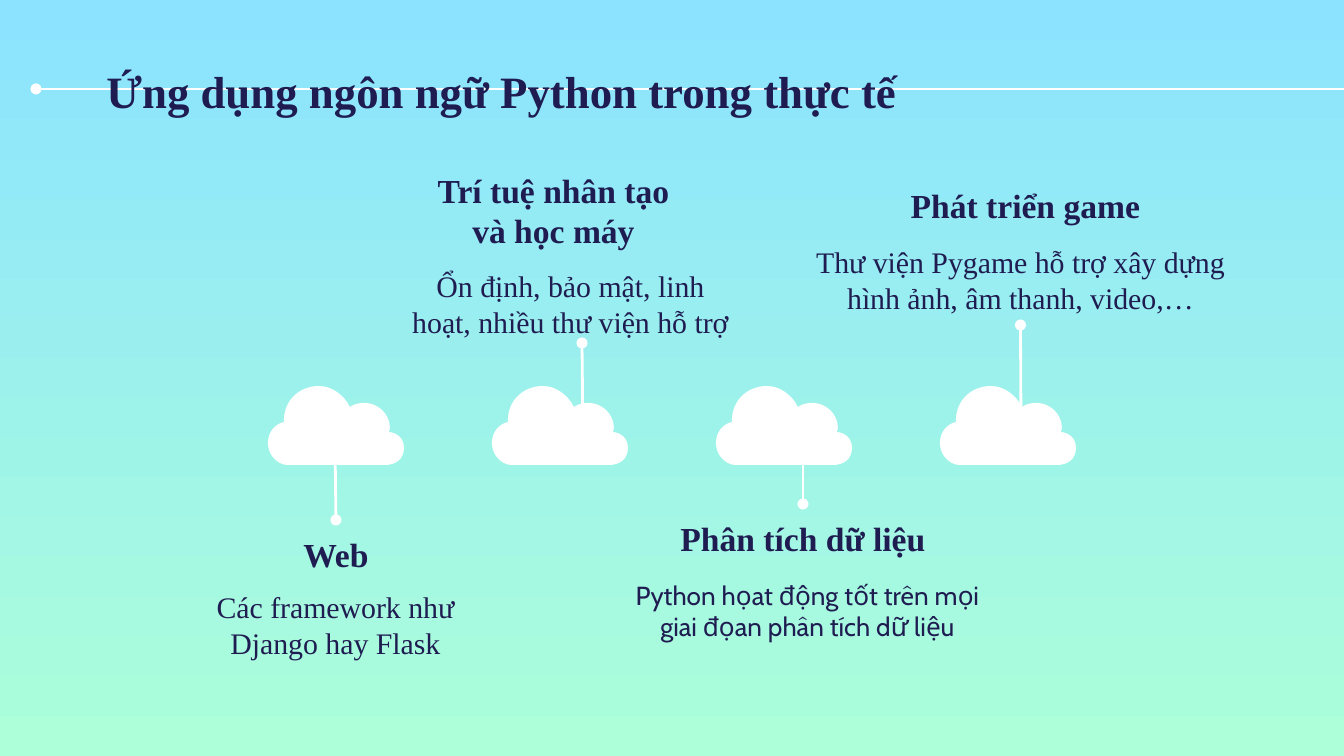
from dataclasses import dataclass

from lxml import etree
from pptx import Presentation
from pptx.dml.color import RGBColor
from pptx.enum.shapes import MSO_CONNECTOR
from pptx.enum.text import MSO_ANCHOR, MSO_AUTO_SIZE, PP_ALIGN
from pptx.oxml.ns import qn
from pptx.util import Emu, Pt

LEFT, CENTER = PP_ALIGN.LEFT, PP_ALIGN.CENTER
TOP = MSO_ANCHOR.TOP
FIXED = MSO_AUTO_SIZE.NONE
STRAIGHT = MSO_CONNECTOR.STRAIGHT
SCALE = 914400 / 134.4
COMPARE = 4


@dataclass(frozen=True)
class Theme:
    sky: RGBColor = RGBColor(0x8B, 0xE3, 0xFF)
    mint: RGBColor = RGBColor(0xAC, 0xFF, 0xD9)
    ink: RGBColor = RGBColor(0x1F, 0x1C, 0x51)
    white: RGBColor = RGBColor(0xFF, 0xFF, 0xFF)
    serif: str = "Times New Roman"
    sans: str = "Cabin"
    title: int = 24
    head: int = 18
    body: int = 16
    small: int = 14
    line: float = 1.5
    inset: float = 7.2


THEME = Theme()

CLOUD = [
    ((31, 0), (16, 15), (16, 34)),
    ((16, 35), (16, 35), (16, 36)),
    ((7, 38), (0, 46), (0, 57)),
    ((0, 68), (8, 78), (19, 79)),
    ((20, 79),),
    ((117, 79),),
    ((128, 79), (136, 73), (136, 62)),
    ((136, 54), (131, 47), (121, 46)),
    ((121, 45), (122, 43), (122, 42)),
    ((122, 28), (110, 17), (97, 17)),
    ((97, 17), (97, 17), (96, 17)),
    ((91, 17), (86, 18), (82, 21)),
    ((76, 9), (64, 0), (51, 0)),
]

TOPICS = [
    ("Web", (228, 520, 216, 79),
     "Các framework như Django hay Flask", (195, 575, 281, 95),
     THEME.serif, THEME.body),
    ("Trí tuệ nhân tạo và học máy", (404, 156, 299, 79),
     "Ổn định, bảo mật, linh hoạt, nhiều thư viện hỗ trợ", (398, 254, 345, 95),
     THEME.serif, THEME.body),
    ("Phân tích dữ liệu", (652, 504, 302, 79),
     "Python họat động tốt trên mọi giai đọan phân tích dữ liệu",
     (607, 566, 401, 95), THEME.sans, THEME.small),
    ("Phát triển game", (859, 171, 333, 79),
     "Thư viện Pygame hỗ trợ xây dựng hình ảnh, âm thanh, video,…",
     (784, 230, 473, 95), THEME.serif, THEME.body),
]


def px(n):
    return Emu(round(n * SCALE))


def paint(slide):
    fill = slide.background.fill
    fill.gradient()
    fill.gradient_angle = 270
    for stop, tone, place in zip(fill.gradient_stops, (THEME.sky, THEME.mint), (0, 1)):
        stop.color.rgb = tone
        stop.position = place


def write(shape, box, text, font, size, bold=False, align=CENTER):
    shape.left, shape.top, shape.width, shape.height = map(px, box)
    frame = shape.text_frame
    frame.text = text
    frame.word_wrap = True
    frame.auto_size = FIXED
    frame.vertical_anchor = TOP
    frame.margin_left = frame.margin_right = Pt(THEME.inset)
    frame.margin_top = frame.margin_bottom = Pt(THEME.inset)
    para = frame.paragraphs[0]
    para.alignment = align
    para.line_spacing = 1.0
    para.space_before = para.space_after = Pt(0)
    props = para._p.get_or_add_pPr()
    props.set("marL", "0")
    props.set("indent", "0")
    etree.SubElement(props, qn("a:buNone"))
    face = para.runs[0].font
    face.name, face.size, face.bold = font, Pt(size), bold
    face.color.rgb = THEME.ink


def add_head(slide, text, box):
    shape = slide.shapes.add_textbox(*map(px, box))
    write(shape, box, text, THEME.serif, THEME.head, bold=True)
    return shape


def add_stem(slide, start, end):
    stem = slide.shapes.add_connector(STRAIGHT, *map(px, start + end))
    stem.line.color.rgb = THEME.white
    stem.line.width = Pt(THEME.line)
    etree.SubElement(stem.line._get_or_add_ln(), qn("a:headEnd"), type="oval")
    etree.SubElement(stem._element.spPr, qn("a:effectLst"))
    return stem


def bend(shape):
    lines = list(shape._element.iter(qn("a:lnTo")))
    for line, dots in zip(lines, CLOUD):
        if len(dots) == 1:
            continue
        arc = etree.Element(qn("a:cubicBezTo"))
        for x, y in dots:
            etree.SubElement(arc, qn("a:pt"), x=str(px(x)), y=str(px(y)))
        line.getparent().replace(line, arc)


def add_cloud(slide, left, top):
    ends = [dots[-1] for dots in CLOUD]
    pen = slide.shapes.build_freeform(*map(px, ends[-1]))
    pen.add_line_segments([(px(x), px(y)) for x, y in ends])
    cloud = pen.convert_to_shape(px(left), px(top))
    bend(cloud)
    cloud.shadow.inherit = False
    cloud.fill.solid()
    cloud.fill.fore_color.rgb = THEME.white
    cloud.line.fill.background()


def main():
    deck = Presentation()
    deck.slide_width, deck.slide_height = px(1344), px(756)
    slide = deck.slides.add_slide(deck.slide_layouts[COMPARE])
    paint(slide)

    title = slide.shapes.title
    write(title, (93, 50, 894, 79), "Ứng dụng ngôn ngữ Python trong thực tế",
          THEME.serif, THEME.title, bold=True, align=LEFT)
    rule = add_stem(slide, (36, 89), (1344, 89))
    title._element.addprevious(rule._element)

    heads, bodies = [], []
    for i, (name, spot, text, box, font, size) in enumerate(TOPICS):
        add_cloud(slide, 268 + 224 * i, 386)
        heads.append(add_head(slide, name, spot))
        body = slide.placeholders[i + 1]
        write(body, box, text, font, size)
        bodies.append(body)

    web = add_stem(slide, (336, 520), (335, 442))
    web.begin_connect(heads[0], 0)
    add_stem(slide, (582, 343), (583, 442))
    data = add_stem(slide, (803, 504), (803, 425))
    data.begin_connect(heads[2], 0)
    game = add_stem(slide, (1021, 325), (1021, 414))
    game.begin_connect(bodies[3], 2)

    deck.save("out.pptx")


if __name__ == "__main__":
    main()
